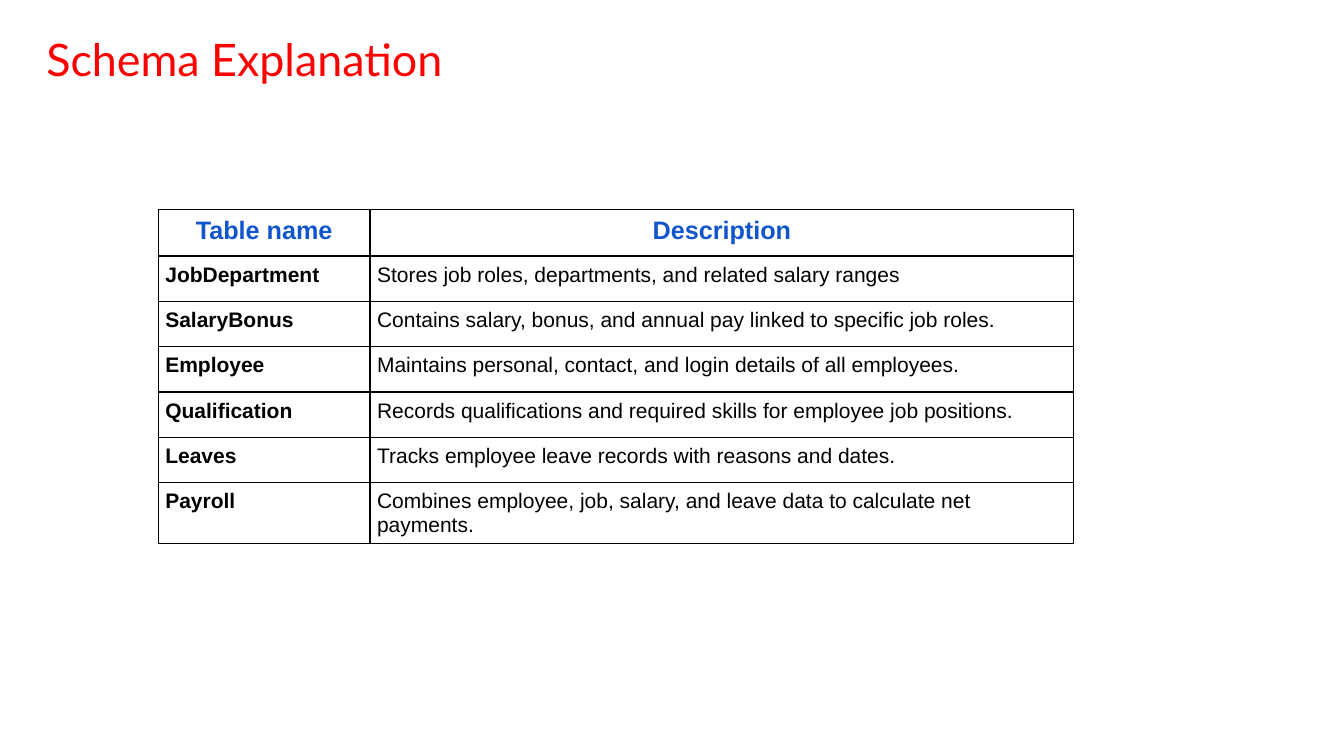
from dataclasses import dataclass

from lxml.etree import SubElement
from pptx import Presentation
from pptx.dml.color import RGBColor
from pptx.enum.text import MSO_ANCHOR, PP_ALIGN
from pptx.oxml.ns import qn
from pptx.util import Inches, Pt


@dataclass(frozen=True)
class Theme:
    title_color: str = "FF0000"
    header_color: str = "1155CC"
    text_color: str = "000000"
    border_color: str = "000000"
    title_font: str = "Lato"
    table_font: str = "Arial"
    title_size: int = 32
    header_size: int = 18
    body_size: int = 15
    border_width: int = 1


THEME = Theme()

SCHEMA = [
    ("Table name", "Description"),
    ("JobDepartment", "Stores job roles, departments, and related salary ranges"),
    ("SalaryBonus", "Contains salary, bonus, and annual pay linked to specific job roles."),
    ("Employee", "Maintains personal, contact, and login details of all employees."),
    ("Qualification", "Records qualifications and required skills for employee job positions."),
    ("Leaves", "Tracks employee leave records with reasons and dates."),
    ("Payroll", "Combines employee, job, salary, and leave data to calculate net payments."),
]
COL_WIDTHS = (2.1, 6.98)
HEADER_HEIGHT, ROW_HEIGHT = 0.46, 0.45


def style_text(p, font, size, color, bold=False):
    for r in p.runs:
        r.font.name = font
        r.font.size = Pt(size)
        r.font.bold = bold
        r.font.color.rgb = RGBColor.from_string(color)


def add_borders(cell):
    tc_pr = cell._tc.get_or_add_tcPr()
    for side in ("lnL", "lnR", "lnT", "lnB"):
        ln = SubElement(tc_pr, qn(f"a:{side}"), w=str(Pt(THEME.border_width)))
        fill = SubElement(ln, qn("a:solidFill"))
        SubElement(fill, qn("a:srgbClr"), val=THEME.border_color)


prs = Presentation()
prs.slide_width, prs.slide_height = Inches(13.33), Inches(7.5)
s = prs.slides.add_slide(prs.slide_layouts[5])

# Title
title = s.shapes.title
title.left, title.top = Inches(0.36), Inches(0.24)
title.width, title.height = Inches(11.5), Inches(0.74)
tf = title.text_frame
tf.text = "Schema Explanation"
tf.vertical_anchor = MSO_ANCHOR.MIDDLE
p = tf.paragraphs[0]
p.alignment = PP_ALIGN.LEFT
p.line_spacing = 0.9
style_text(p, THEME.title_font, THEME.title_size, THEME.title_color)

# Schema table
table_height = HEADER_HEIGHT + ROW_HEIGHT * (len(SCHEMA) - 1)
table = s.shapes.add_table(
    len(SCHEMA), len(COL_WIDTHS), Inches(1.57), Inches(2.08),
    Inches(sum(COL_WIDTHS)), Inches(table_height),
).table
table.horz_banding = False
for col, width in zip(table.columns, COL_WIDTHS):
    col.width = Inches(width)

for i, row in enumerate(SCHEMA):
    is_header = i == 0
    table.rows[i].height = Inches(HEADER_HEIGHT if is_header else ROW_HEIGHT)
    for j, text in enumerate(row):
        cell = table.cell(i, j)
        cell.margin_left = cell.margin_right = Inches(0.07)
        cell.margin_top = cell.margin_bottom = Inches(0.07)
        cell.vertical_anchor = MSO_ANCHOR.TOP
        add_borders(cell)
        cell.fill.background()
        cell.text_frame.text = text
        p = cell.text_frame.paragraphs[0]
        if is_header:
            p.alignment = PP_ALIGN.CENTER
            style_text(p, THEME.table_font, THEME.header_size, THEME.header_color, bold=True)
        else:
            style_text(p, THEME.table_font, THEME.body_size, THEME.text_color, bold=j == 0)

prs.save("out.pptx")
